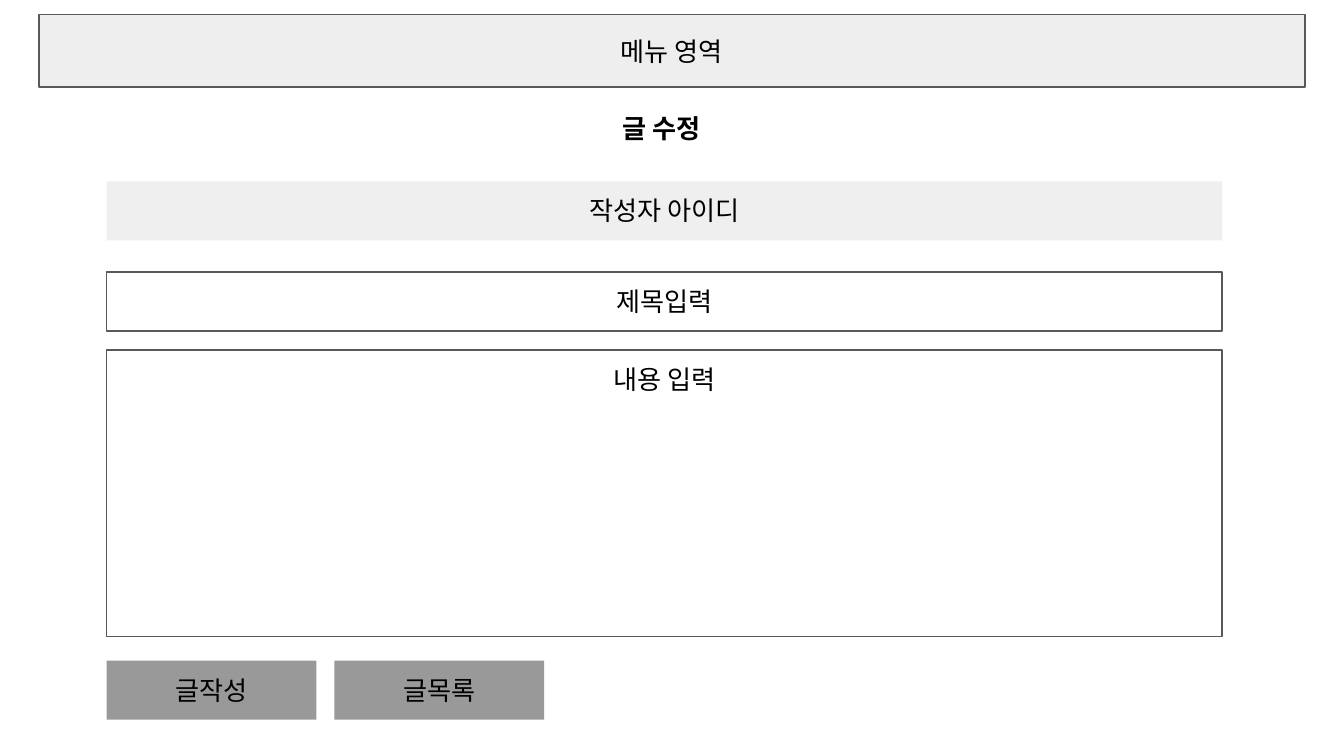
from pptx import Presentation
from pptx.dml.color import RGBColor
from pptx.enum.shapes import MSO_SHAPE
from pptx.enum.text import MSO_ANCHOR as ANC, MSO_AUTO_SIZE as FIT, PP_ALIGN as AL
from pptx.util import Inches, Pt


def paint(fmt, color):
    fmt.solid()
    fmt.fore_color.rgb = RGBColor.from_string(color)


def write(sp, text, align, anchor, fit, bold):
    tf = sp.text_frame
    frame = dict.fromkeys(
        ("margin_left", "margin_top", "margin_right", "margin_bottom"), Inches(0.1))
    frame.update(word_wrap=True, vertical_anchor=anchor, auto_size=fit)
    for name, value in frame.items():
        setattr(tf, name, value)
    p = tf.paragraphs[0]
    p.alignment = align
    r = p.add_run()
    r.text = text
    for name, value in {"name": "Arial", "size": Pt(14), "bold": bold}.items():
        setattr(r.font, name, value)
    paint(r.font.fill, "000000")


prs = Presentation()
prs.slide_width = Inches(10)
prs.slide_height = prs.slide_width * 9 // 16
COL, ROW = prs.slide_width / 100, prs.slide_height / 100
s = prs.slides.add_slide(prs.slide_layouts[5])
paint(s.background.fill, "FFFFFF")

LEFT, WIDE, BAR = 7.94, 83, 7.8
BUTTON, GAP, BUTTON_TOP = 15.6, 1.35, 87.4

title = s.shapes.title
place = {"left": 45.3 * COL, "top": 13.1 * ROW, "width": 38.8 * COL, "height": BAR * ROW}
for name, value in place.items():
    setattr(title, name, int(value))
write(title, "글 수정", AL.LEFT, ANC.TOP, FIT.SHAPE_TO_FIT_TEXT, True)

boxes = [
    ("메뉴 영역", 2.9, 1.9, 94.2, 9.6, "EEEEEE", "595959", ANC.MIDDLE, FIT.NONE),
    ("작성자 아이디", LEFT, 24, WIDE, BAR, "EFEFEF", None, ANC.TOP, FIT.SHAPE_TO_FIT_TEXT),
    ("제목입력", LEFT, 36, WIDE, BAR, "FFFFFF", "595959", ANC.TOP, FIT.SHAPE_TO_FIT_TEXT),
    ("내용 입력", LEFT, 46.3, WIDE, 37.9, "FFFFFF", "595959", ANC.TOP, FIT.NONE),
]
for i, text in enumerate(("글작성", "글목록")):
    boxes.append((text, LEFT + i * (BUTTON + GAP), BUTTON_TOP, BUTTON, BAR,
                  "999999", None, ANC.TOP, FIT.SHAPE_TO_FIT_TEXT))

for text, x, y, w, h, fill, line, anchor, fit in boxes:
    sp = s.shapes.add_shape(MSO_SHAPE.RECTANGLE, int(x * COL), int(y * ROW),
                            int(w * COL), int(h * ROW))
    sp.shadow.inherit = False
    paint(sp.fill, fill)
    if line:
        paint(sp.line.fill, line)
        sp.line.width = Pt(0.75)
    else:
        sp.line.fill.background()
    write(sp, text, AL.CENTER, anchor, fit, False)

prs.save("out.pptx")
